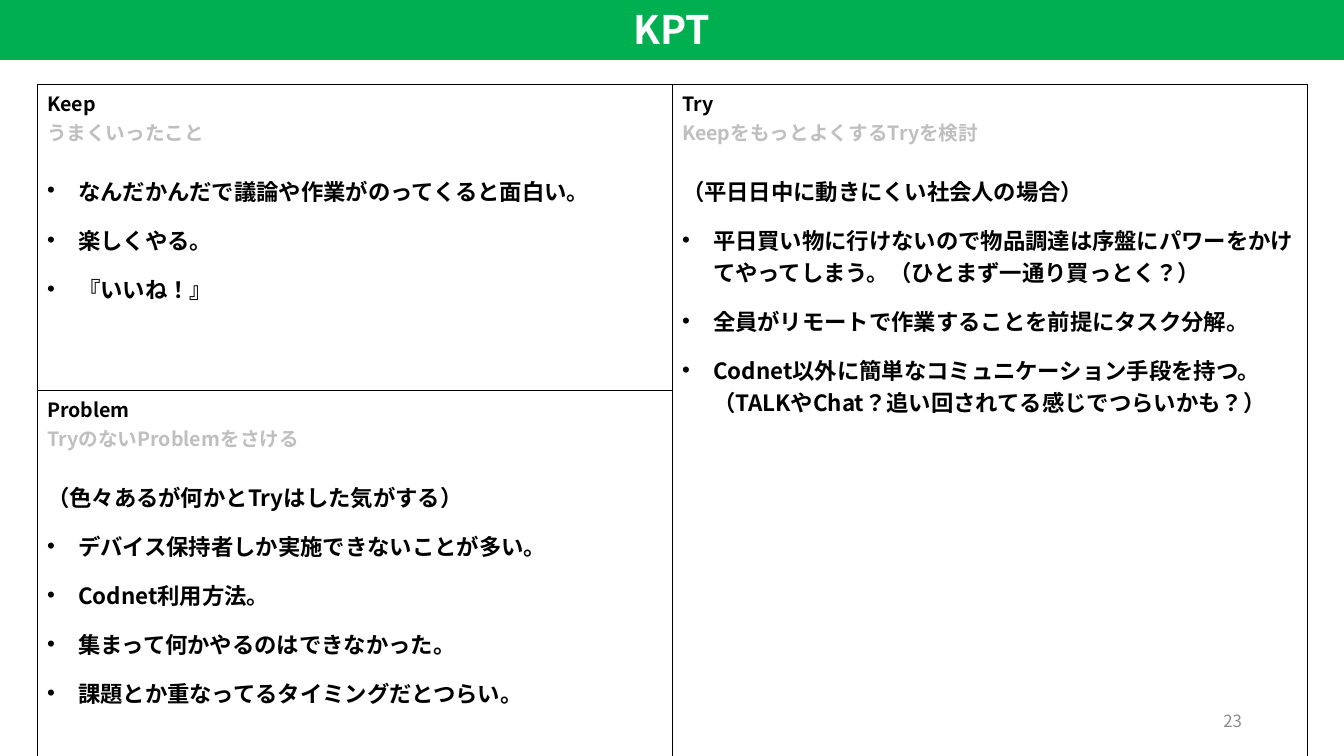
import pptx
import pptx.dml.color
import pptx.enum.lang
import pptx.enum.text
import pptx.oxml
import pptx.oxml.ns
import pptx.util

ALIGN = pptx.enum.text.PP_ALIGN
MIDDLE = pptx.enum.text.MSO_ANCHOR.MIDDLE
JAPANESE = pptx.enum.lang.MSO_LANGUAGE_ID.JAPANESE
NAMESPACE = pptx.oxml.ns.nsdecls("a")

KEEP = (
    "Keep",
    "うまくいったこと",
    None,
    ["なんだかんだで議論や作業がのってくると面白い。", "楽しくやる。", "『いいね！』"],
)
PROBLEM = (
    "Problem",
    "TryのないProblemをさける",
    "（色々あるが何かとTryはした気がする）",
    [
        "デバイス保持者しか実施できないことが多い。",
        "Codnet利用方法。",
        "集まって何かやるのはできなかった。",
        "課題とか重なってるタイミングだとつらい。",
    ],
)
TRY = (
    "Try",
    "KeepをもっとよくするTryを検討",
    "（平日日中に動きにくい社会人の場合）",
    [
        "平日買い物に行けないので物品調達は序盤にパワーをかけてやってしまう。（ひとまず一通り買っとく？）",
        "全員がリモートで作業することを前提にタスク分解。",
        "Codnet以外に簡単なコミュニケーション手段を持つ。（TALKやChat？追い回されてる感じでつらいかも？）",
    ],
)


def px(length):
    return round(length * 914400 / 100.8)


def color(value):
    return pptx.dml.color.RGBColor.from_string(value)


class Board:
    """Draws the elements of a review board on one slide in a shared style."""

    font = "Noto Sans CJK JP"
    black, white, gray, muted, green = "000000", "FFFFFF", "8C8C8C", "BFBFBF", "00B050"

    def __init__(self, page):
        self.page = page

    def format(self, para, size, shade, bold=True):
        font = para.font
        font.size = pptx.util.Pt(size)
        font.bold = bold
        font.color.rgb = color(shade)
        font.name = self.font
        east_asian = f'<a:ea {NAMESPACE} typeface="{self.font}"/>'
        font._element.append(pptx.oxml.parse_xml(east_asian))
        for span in para.runs:
            span.font.language_id = JAPANESE

    def title(self, text, *area):
        bar = self.page.shapes.title
        bar.left, bar.top, bar.width, bar.height = map(px, area)
        bar.fill.solid()
        bar.fill.fore_color.rgb = color(self.green)
        frame = bar.text_frame
        frame.text = text
        frame.vertical_anchor = MIDDLE
        frame.paragraphs[0].alignment = ALIGN.CENTER
        self.format(frame.paragraphs[0], 28, self.white)

    def number(self, text, *area):
        frame = self.page.shapes.add_textbox(*map(px, area)).text_frame
        frame.word_wrap = True
        frame.vertical_anchor = MIDDLE
        frame.text = text
        frame.paragraphs[0].alignment = ALIGN.RIGHT
        self.format(frame.paragraphs[0], 12, self.gray, bold=False)

    def table(self, heights, columns, left, top, width):
        area = map(px, (left, top, width, sum(heights)))
        table = self.page.shapes.add_table(len(heights), columns, *area).table
        table.first_row = table.horz_banding = False
        for row, height in zip(table.rows, heights):
            row.height = px(height)
        for cell in table.iter_cells():
            cell.fill.background()
            properties = cell._tc.get_or_add_tcPr()
            for index, side in enumerate("LRTB"):
                line = (
                    f'<a:ln{side} {NAMESPACE} w="3175"><a:solidFill>'
                    f'<a:srgbClr val="{self.black}"/></a:solidFill></a:ln{side}>'
                )
                properties.insert(index, pptx.oxml.parse_xml(line))
        return table

    def bullet(self, para):
        properties = para._p.get_or_add_pPr()
        properties.set("marL", str(px(31)))
        properties.set("indent", str(-px(31)))
        for mark in ('buFont {} typeface="Arial"', 'buChar {} char="•"'):
            properties.append(pptx.oxml.parse_xml(f"<a:{mark.format(NAMESPACE)}/>"))

    def topic(self, cell, heading, hint, remark, points):
        frame = cell.text_frame
        frame.text = heading
        self.format(frame.paragraphs[0], 14, self.black)
        para = frame.add_paragraph()
        para.text = hint
        para.space_after = pptx.util.Pt(20)
        self.format(para, 14, self.muted)
        for text in ([remark] if remark else []) + points:
            para = frame.add_paragraph()
            para.text = text
            para.space_after = pptx.util.Pt(12)
            if text != remark:
                self.bullet(para)
            self.format(para, 16, self.black)


def main():
    deck = pptx.Presentation()
    deck.slide_width, deck.slide_height = px(1344), px(756)
    board = Board(deck.slides.add_slide(deck.slide_layouts[5]))
    board.title("KPT", -3, -3, 1350, 63)
    board.number("23", 950, 701, 302, 40)
    table = board.table([306, 366], 2, 37, 84, 1270)
    table.cell(0, 1).merge(table.cell(1, 1))
    board.topic(table.cell(0, 0), *KEEP)
    board.topic(table.cell(1, 0), *PROBLEM)
    board.topic(table.cell(0, 1), *TRY)
    deck.save("out.pptx")


if __name__ == "__main__":
    main()
